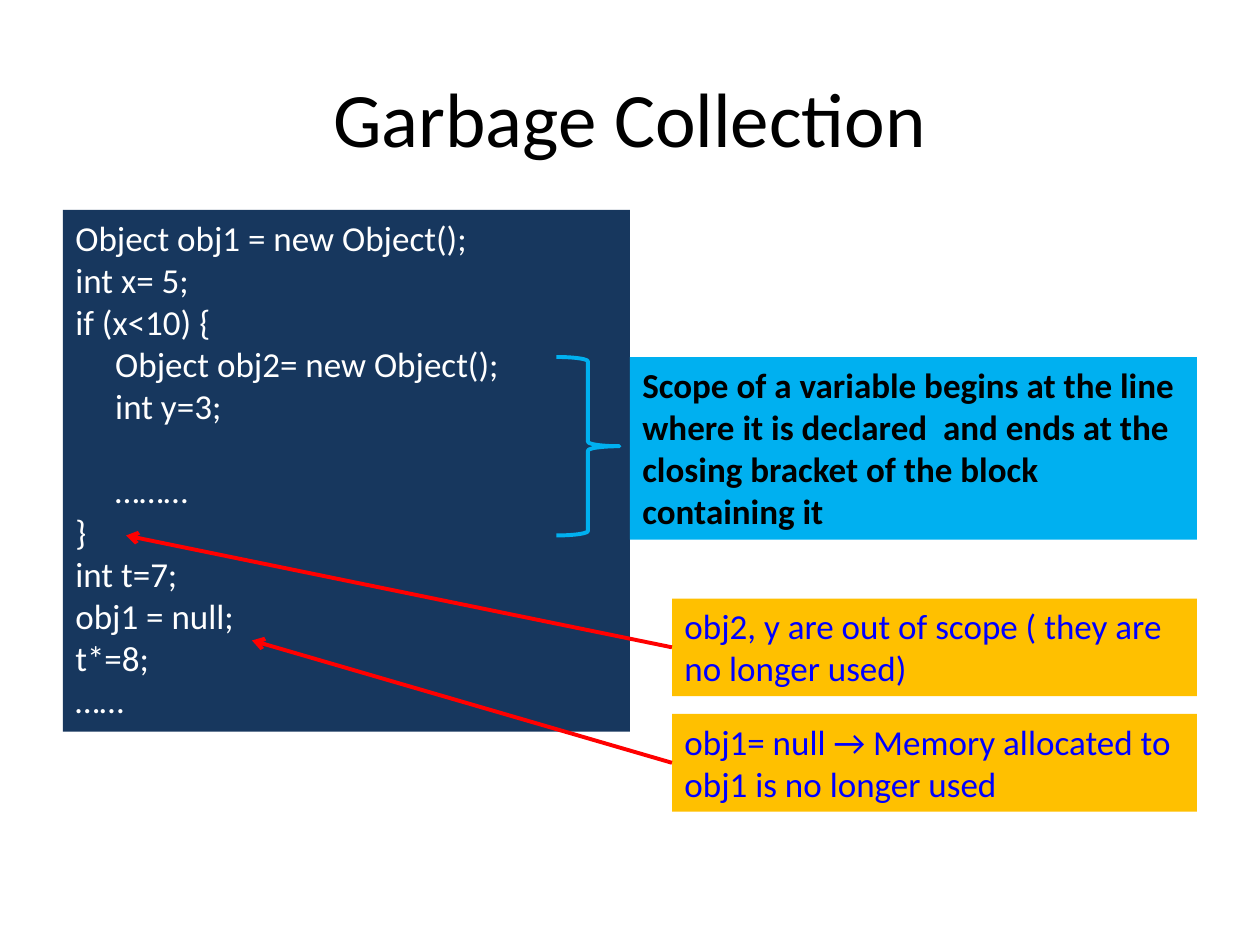
from dataclasses import dataclass

from lxml.etree import SubElement
from pptx import Presentation
from pptx.dml.color import RGBColor
from pptx.enum.shapes import MSO_CONNECTOR as Connector, MSO_SHAPE as Shape
from pptx.enum.text import MSO_ANCHOR as Anchor, MSO_AUTO_SIZE as AutoSize, PP_ALIGN as Align
from pptx.oxml.ns import qn
from pptx.util import Pt

PX = 7620  # EMU per px, 120 px to the inch


@dataclass(frozen=True)
class Theme:
    font: str = "Calibri"
    title_size: int = 44
    body_size: int = 20
    blank_line: int = 24
    line_width: float = 2.25
    black: str = "000000"
    white: str = "FFFFFF"
    navy: str = "17375E"
    sky: str = "00B0F0"
    amber: str = "FFC000"
    blue: str = "0000FF"
    red: str = "FF0000"


def px(*lengths):
    return [length * PX for length in lengths]


class SlideBuilder:
    def __init__(self, slide, theme):
        self.shapes = slide.shapes
        self.theme = theme

    def text(self, box, lines, color, size=None, bold=False, align=Align.LEFT):
        """Write (text, indent px, space before pt) lines into a box."""
        frame = box.text_frame
        frame.word_wrap = True
        for number, (words, indent, space) in enumerate(lines):
            paragraph = frame.paragraphs[0] if number == 0 else frame.add_paragraph()
            paragraph.alignment = align
            paragraph.space_before = Pt(space)
            if indent:
                paragraph._p.get_or_add_pPr().set("marL", str(indent * PX))
            run = paragraph.add_run()
            run.text = words
            formats = {"name": self.theme.font, "bold": bold,
                       "size": Pt(size or self.theme.body_size)}
            for attribute, value in formats.items():
                setattr(run.font, attribute, value)
            run.font.color.rgb = RGBColor.from_string(color)

    def title(self, words, *place):
        box = self.shapes.add_textbox(*px(*place))
        box.text_frame.vertical_anchor = Anchor.MIDDLE
        self.text(box, [(words, 0, 0)], self.theme.black, self.theme.title_size,
                  align=Align.CENTER)

    def panel(self, lines, place, fill, color, bold=False):
        box = self.shapes.add_textbox(*px(*place))
        box.fill.solid()
        box.fill.fore_color.rgb = RGBColor.from_string(fill)
        self.text(box, lines, color, bold=bold)
        box.text_frame.auto_size = AutoSize.SHAPE_TO_FIT_TEXT
        return box

    def stroke(self, line, color):
        line.color.rgb = RGBColor.from_string(color)
        line.width = Pt(self.theme.line_width)

    def arrow_from(self, note, x, y):
        """Point from the middle of a note's left side to (x, y)."""
        arrow = self.shapes.add_connector(Connector.STRAIGHT, 0, 0, *px(x, y))
        arrow.begin_connect(note, 1)
        self.stroke(arrow.line, self.theme.red)
        SubElement(arrow.line._get_or_add_ln(), qn("a:tailEnd"), type="arrow")
        SubElement(arrow._element.spPr, qn("a:effectLst"))

    def brace(self, *place):
        brace = self.shapes.add_shape(Shape.RIGHT_BRACE, *px(*place))
        brace.shadow.inherit = False
        brace.fill.background()
        brace.adjustments[0] = 0.07
        self.stroke(brace.line, self.theme.sky)


def main():
    theme = Theme()
    deck = Presentation()
    deck.slide_width, deck.slide_height = px(1200, 900)
    builder = SlideBuilder(deck.slides.add_slide(deck.slide_layouts[6]), theme)

    builder.title("Garbage Collection", 60, 36, 1080, 150)

    block = 38  # indent of the code inside the if block
    code = [
        ("Object obj1 = new Object();", 0, 0),
        ("int x= 5;", 0, 0),
        ("if (x<10) {", 0, 0),
        ("Object obj2= new Object();", block, 0),
        ("int y=3;", block, 0),
        ("………", block, theme.blank_line),
        ("}", 0, 0),
        ("int t=7;", 0, 0),
        ("obj1 = null;", 0, 0),
        ("t*=8;", 0, 0),
        ("……", 0, 0),
    ]
    builder.panel(code, (60, 200, 540, 497), theme.navy, theme.white)

    scope = ("Scope of a variable begins at the line where it is declared  and ends "
             "at the closing bracket of the block containing it")
    builder.panel([(scope, 0, 0)], (600, 340, 540, 174), theme.sky, theme.black, bold=True)
    builder.brace(530, 340, 60, 170)

    notes = [
        ("obj2, y are out of scope ( they are no longer used)", 570, (120, 510)),
        ("obj1= null → Memory allocated to obj1 is no longer used", 680, (240, 610)),
    ]
    for words, top, target in notes:
        note = builder.panel([(words, 0, 0)], (640, top, 500, 93), theme.amber, theme.blue)
        builder.arrow_from(note, *target)

    deck.save("out.pptx")


if __name__ == "__main__":
    main()
